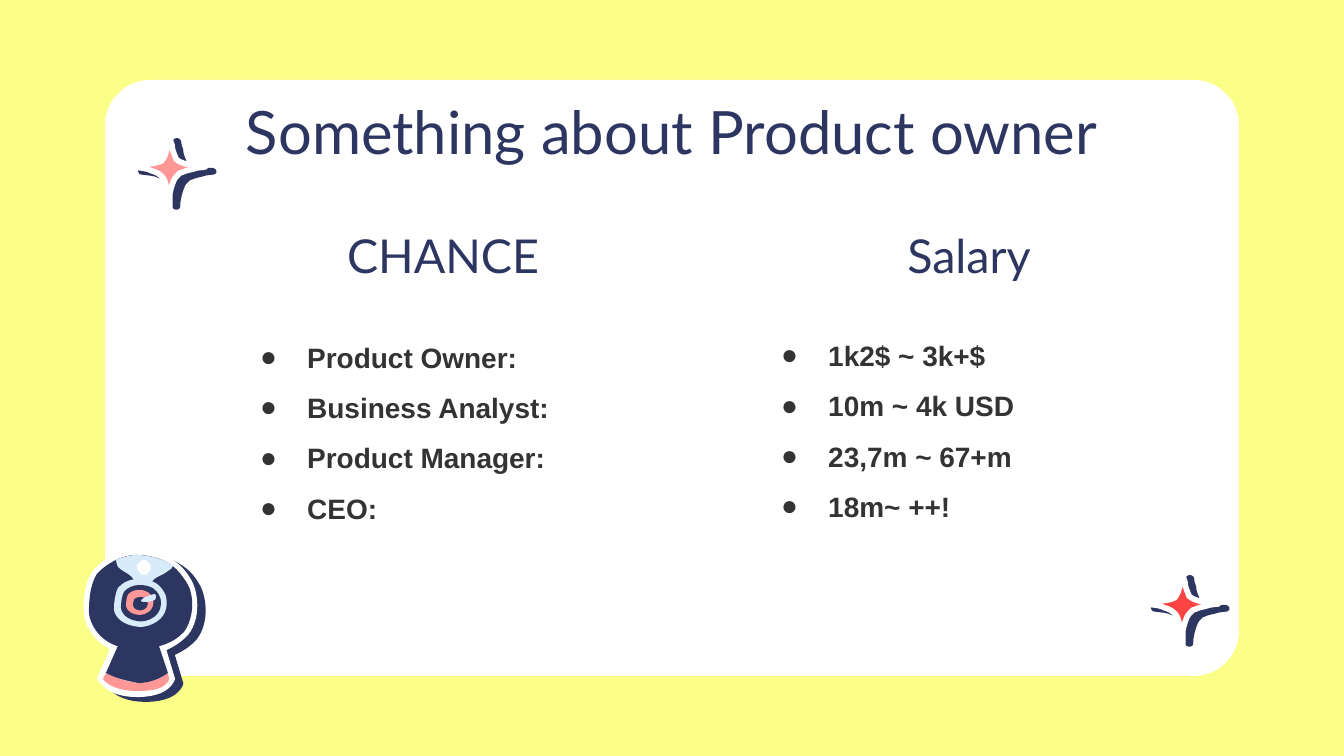
from lxml import etree
from pptx import Presentation
from pptx import util as u
from pptx.dml.color import RGBColor
from pptx.enum import shapes, text
from pptx.oxml.ns import qn

PX = 914400 / 134.4
COLORS = {
    "yellow": "FBFF87", "white": "FFFFFF", "navy": "2D3561", "ink": "333333",
    "pink": "FF9797", "red": "FC4443", "sky": "D7EBFB",
}
SPARKLE = [
    (36, 0), (35, 0, 35, 0, 35, 1), (35, 4, 35, 7, 35, 9),
    (35, 13, 34, 19, 31, 23), (30, 26, 26, 26, 23, 27),
    (17, 28, 13, 28, 9, 28), (7, 30, 4, 30, 1, 30), (0, 30, 0, 31, 1, 31),
    (8, 32, 15, 32, 20, 35), (24, 36, 28, 38, 31, 42),
    (34, 46, 34, 51, 35, 55), (35, 59, 35, 62, 35, 66),
    (35, 66, 36, 66, 36, 66), (36, 66, 37, 66, 37, 66),
    (37, 59, 39, 51, 42, 44), (43, 43, 44, 40, 46, 39),
    (47, 38, 48, 36, 51, 36), (55, 34, 59, 34, 65, 32),
    (67, 32, 70, 31, 73, 31), (73, 31, 74, 31, 73, 30),
    (73, 30, 73, 30, 73, 30), (72, 30, 70, 30, 69, 30),
    (63, 30, 59, 28, 54, 28), (51, 27, 47, 26, 44, 23),
    (43, 19, 40, 15, 40, 9), (39, 7, 38, 4, 38, 1), (38, 0, 37, 0, 36, 0),
]
CAMERA_BODY = [
    (51, 0), (35, 0, 17, 11, 9, 22), (1, 34, 0, 53, 1, 61),
    (1, 71, 9, 89, 28, 97), (14, 128), (16, 129), (16, 130, 24, 144, 52, 144),
    (55, 144), (84, 143, 87, 129, 88, 128), (79, 98), (88, 94, 96, 89, 102, 82),
    (114, 66, 111, 42, 105, 31), (99, 20, 88, 4, 52, 0),
]
CAMERA_FOOT = [
    (21, 122), (18, 128), (18, 128, 25, 140, 52, 140), (53, 140, 53, 140, 55, 140),
    (83, 140, 84, 128, 84, 128), (83, 122), (75, 128, 64, 132, 55, 132),
    (55, 132, 55, 132, 53, 132), (43, 131, 32, 128, 21, 122),
]
CAMERA_NECK = [
    (70, 83), (37, 86), (21, 122), (32, 128, 43, 130, 53, 132),
    (55, 132, 55, 132, 55, 132), (64, 132, 75, 128, 83, 122), (70, 83),
]
CAMERA_HEAD = [
    (51, 4), (36, 4, 20, 14, 12, 23), (5, 34, 4, 50, 4, 61),
    (4, 71, 14, 93, 40, 97), (44, 98, 49, 98, 53, 98),
    (74, 98, 90, 91, 99, 81), (110, 66, 109, 43, 102, 32),
    (95, 22, 86, 5, 52, 4), (52, 4, 51, 4, 51, 4),
]
CAMERA_GLINT = [
    (70, 43), (67, 43, 55, 48, 56, 50), (56, 50, 57, 51, 59, 51),
    (64, 51, 71, 50, 71, 47), (71, 46, 71, 43, 70, 43), (70, 43, 70, 43, 70, 43),
]
CAMERA_CREST = [
    (51, 4), (44, 4, 36, 7, 31, 9), (31, 12, 32, 13, 33, 16),
    (40, 23, 51, 24, 49, 34), (57, 31), (66, 35), (66, 26, 76, 26, 83, 20),
    (86, 19, 87, 17, 88, 15), (80, 9, 70, 5, 52, 4), (52, 4, 51, 4, 51, 4),
]
CAMERA_LAMP = [
    (59, 9), (58, 9, 55, 10, 54, 12), (51, 13, 51, 18, 54, 21),
    (55, 22, 56, 24, 59, 24), (60, 24, 62, 24, 63, 22),
    (66, 20, 67, 14, 64, 12), (63, 10, 60, 9, 59, 9),
]
RING = [
    (24, 0), (16, 0, 8, 4, 4, 9), (1, 15, 0, 24, 0, 30),
    (0, 35, 5, 44, 19, 47), (20, 47, 23, 48, 26, 48),
    (35, 48, 44, 43, 48, 38), (54, 31, 54, 19, 50, 13),
    (47, 8, 42, 0, 24, 0), (24, 0, 24, 0, 24, 0),
]
LENS_RINGS = [
    (29, 28, 1, "sky"), (36, 34, 0.76, "navy"),
    (41, 39, 0.52, "pink"), (48, 46, 0.28, "navy"),
]


def px(value):
    return u.Emu(round(value * PX))


def color(name):
    return RGBColor.from_string(COLORS[name])


def paint(shape, fill, outline=None):
    shape.shadow.inherit = False
    shape.fill.solid()
    shape.fill.fore_color.rgb = color(fill)
    if outline:
        shape.line.color.rgb = color("white")
        shape.line.width = u.Pt(outline)
    else:
        shape.line.fill.background()


def add_shadow(shape):
    effects = shape._element.spPr.find(qn("a:effectLst"))
    shadow = etree.SubElement(
        effects, qn("a:outerShdw"), dist=str(u.Pt(5.2)), dir=str(30 * 60000),
        algn="bl", rotWithShape="0")
    etree.SubElement(shadow, qn("a:srgbClr"), val=COLORS["navy"])


def add_outline(parent, left, top, outline, fill, line=None, scale=1):
    segments = [
        [(px(left + x * scale), px(top + y * scale)) for x, y in zip(part[::2], part[1::2])]
        for part in outline]
    ends = [segment[-1] for segment in segments]
    builder = parent.build_freeform(*ends[0])
    builder.add_line_segments(ends[1:], close=True)
    shape = builder.convert_to_shape()
    x0, y0 = (min(axis) for axis in zip(*ends))
    steps = list(shape._element.iter(qn("a:lnTo")))
    for step, segment in zip(steps, segments[1:]):
        if len(segment) == 3:
            curve = etree.Element(qn("a:cubicBezTo"))
            for x, y in segment:
                etree.SubElement(curve, qn("a:pt"), x=str(x - x0), y=str(y - y0))
            step.getparent().replace(step, curve)
    paint(shape, fill, line)
    return shape


def add_card(page, left, top, width, height):
    card = page.shapes.add_shape(
        shapes.MSO_SHAPE.ROUNDED_RECTANGLE, px(left), px(top), px(width), px(height))
    card.adjustments[0] = 0.076
    paint(card, "white")
    card._element.getparent().insert(2, card._element)


def fill_box(box, area, lines, bottom=13):
    box.left, box.top, box.width, box.height = map(px, area)
    frame = box.text_frame
    frame.word_wrap = True
    frame.auto_size = text.MSO_AUTO_SIZE.NONE
    frame.vertical_anchor = text.MSO_ANCHOR.MIDDLE
    frame.margin_left = frame.margin_right = frame.margin_top = px(13)
    frame.margin_bottom = px(bottom)
    frame.text = "\n".join(lines)
    for para in frame.paragraphs:
        para.space_before = u.Pt(0)
    return frame.paragraphs


def place_heading(box, area, heading, size):
    para, = fill_box(box, area, [heading])
    para.alignment = text.PP_ALIGN.CENTER
    para.font.name, para.font.size, para.font.bold = "Lato", u.Pt(size), False
    para.font.color.rgb = color("navy")


def place_list(box, area, items, bottom=13):
    for para in fill_box(box, area, items, bottom):
        para.line_spacing = 1.5
        properties = para._p.get_or_add_pPr()
        properties.set("marL", str(u.Inches(0.5)))
        properties.set("indent", str(u.Inches(-0.35)))
        bullet_color = etree.SubElement(properties, qn("a:buClr"))
        etree.SubElement(bullet_color, qn("a:srgbClr"), val=COLORS["ink"])
        etree.SubElement(properties, qn("a:buFont"), typeface="Arial")
        etree.SubElement(properties, qn("a:buChar"), char="●")
        para.font.name, para.font.size, para.font.bold = "Arial", u.Pt(15), True
        para.font.color.rgb = color("ink")


def add_sparkle(page, left, top, fill):
    add_shadow(add_outline(page.shapes, left, top, SPARKLE, fill, 3))


def add_camera(page, left, top):
    parts = page.shapes.add_group_shape().shapes
    add_shadow(add_outline(parts, left, top, CAMERA_BODY, "white", 2.25))
    for outline, fill in ((CAMERA_FOOT, "pink"), (CAMERA_NECK, "navy"), (CAMERA_HEAD, "navy")):
        add_outline(parts, left, top, outline, fill)
    for x, y, scale, fill in LENS_RINGS:
        add_outline(parts, left + x, top + y, RING, fill, scale=scale)
    for outline, fill in ((CAMERA_GLINT, "sky"), (CAMERA_CREST, "sky"), (CAMERA_LAMP, "white")):
        add_outline(parts, left, top, outline, fill)


def main():
    deck = Presentation()
    deck.slide_width, deck.slide_height = px(1344), px(756)
    page = deck.slides.add_slide(deck.slide_layouts.get_by_name("Comparison"))
    page.background.fill.solid()
    page.background.fill.fore_color.rgb = color("yellow")
    add_card(page, 105, 80, 1134, 596)
    title, chance, roles, salary, ranges = page.placeholders
    place_heading(title, (105, 80, 1134, 102), "Something about Product owner", 32)
    place_heading(chance, (222, 224, 442, 62), "CHANCE", 25)
    place_heading(salary, (748, 224, 442, 62), "Salary", 25)
    place_list(roles, (227, 297, 477, 254),
               ["Product Owner:", "Business Analyst:", "Product Manager:", "CEO:"])
    place_list(ranges, (748, 304, 442, 302),
               ["1k2$ ~ 3k+$", "10m ~ 4k USD", "23,7m ~ 67+m", "18m~ ++!"], bottom=78)
    add_sparkle(page, 132, 136, "pink")
    add_camera(page, 85, 551)
    add_sparkle(page, 1145, 573, "red")
    deck.save("out.pptx")


if __name__ == "__main__":
    main()
